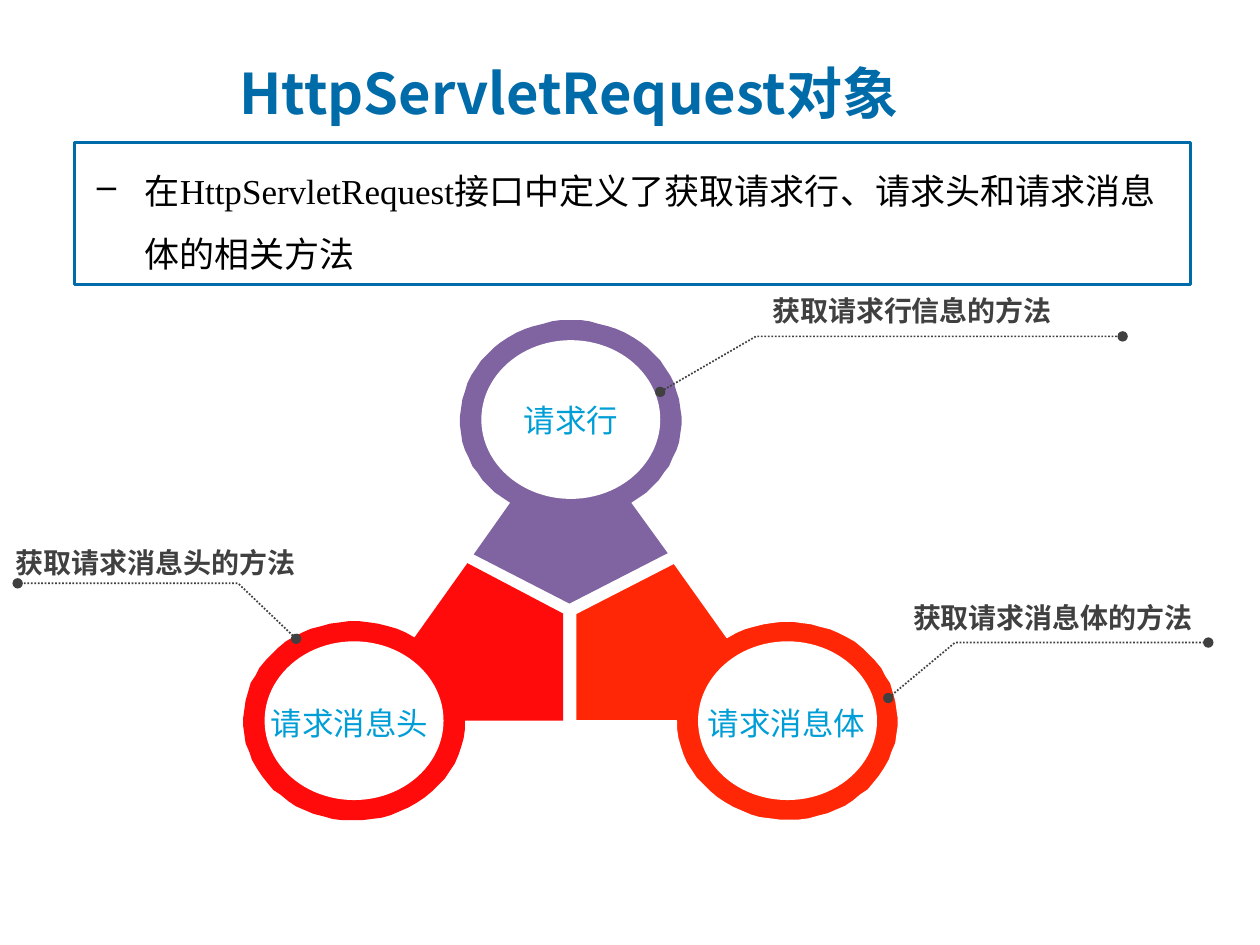
from math import cos, radians, sin

from lxml.etree import SubElement
from pptx import Presentation
from pptx.dml.color import RGBColor
from pptx.enum.dml import MSO_LINE
from pptx.enum.shapes import MSO_SHAPE as Shape
from pptx.enum.text import MSO_ANCHOR as Anchor, MSO_AUTO_SIZE as AutoSize, PP_ALIGN as Align
from pptx.oxml.ns import qn
from pptx.util import Emu, Pt

PX = 9144
SANS = "Noto Sans CJK SC"
SERIF = "Times New Roman"
COLORS = {
    "blue": "006BA9",
    "sky": "009ED6",
    "gray": "404040",
    "black": "000000",
    "white": "FFFFFF",
    "red": "FF0B0B",
    "orange": "FF2705",
    "purple": "8064A2",
}
OUTER = (88, 79)
INNER = (71, 63)


def color(name):
    return RGBColor.from_string(COLORS[name])


def px(*values):
    return [Emu(value * PX) for value in values]


class Painter:
    def __init__(self, page):
        self.page = page
        self.shapes = page.shapes

    def finish(self, shape, fill=None, line=None, width=1):
        shape.shadow.inherit = False
        if fill:
            shape.fill.solid()
            shape.fill.fore_color.rgb = color(fill)
        else:
            shape.fill.background()
        if line:
            shape.line.color.rgb = color(line)
            shape.line.width = Pt(width)
        else:
            shape.line.fill.background()
        return shape

    def preset(self, kind, box, **style):
        return self.finish(self.shapes.add_shape(kind, *px(*box)), **style)

    def outline(self, points, closed=True, **style):
        builder = self.shapes.build_freeform(*points[0], scale=PX)
        builder.add_line_segments(points[1:], close=closed)
        return self.finish(builder.convert_to_shape(), **style)

    def set_text(self, para, text, size, tint, font=SANS, bold=False, align=Align.LEFT):
        para.text = text
        para.alignment = align
        para.font.size = Pt(size)
        para.font.bold = bold
        para.font.color.rgb = color(tint)
        for span in para.runs:
            span.font.name = font
            SubElement(span.font._element, qn("a:ea"), typeface=SANS)

    def indent(self, para, length):
        properties = para._p.get_or_add_pPr()
        properties.set("marL", str(length * PX))
        properties.set("indent", str(-length * PX))
        return properties

    def text(self, box, text, size, tint, wrap=True, grow=True, **style):
        frame = self.shapes.add_textbox(*px(*box)).text_frame
        frame.word_wrap = wrap
        frame.auto_size = AutoSize.SHAPE_TO_FIT_TEXT if grow else AutoSize.NONE
        para = frame.paragraphs[0]
        self.set_text(para, text, size, tint, **style)
        return para

    def title(self, box, text):
        holder = self.shapes.title
        holder.left, holder.top, holder.width, holder.height = px(*box)
        frame = holder.text_frame
        frame.word_wrap = True
        frame.auto_size = AutoSize.NONE
        frame.vertical_anchor = Anchor.MIDDLE
        para = frame.paragraphs[0]
        self.set_text(para, text, 32, "blue", bold=True)
        self.indent(para, 62)

    def bullet(self, box, text):
        para = self.text(box, text, 20, "black", grow=False, font=SERIF)
        para.line_spacing = 1.5
        para.space_before = Pt(4)
        properties = self.indent(para, 38)
        mark = properties.makeelement(qn("a:buChar"), {"char": "–"})
        properties.find(qn("a:defRPr")).addprevious(mark)

    def petal(self, center, arm, arc, label, label_box, **style):
        x, y = center
        start, end = arc
        steps = 60
        angles = [radians(start + (end - start) * i / steps) for i in range(steps + 1)]
        rim = [(round(x + OUTER[0] * cos(a), 2), round(y + OUTER[1] * sin(a), 2)) for a in angles]
        self.outline(arm + rim, **style)
        hole = (x - INNER[0], y - INNER[1], 2 * INNER[0], 2 * INNER[1])
        self.preset(Shape.OVAL, hole, fill="white")
        self.text(label_box, label, 18, "sky", wrap=False)

    def callout(self, points, box, text):
        leader = self.outline(points, closed=False, line="gray")
        leader.line.dash_style = MSO_LINE.ROUND_DOT
        for end in ("a:headEnd", "a:tailEnd"):
            SubElement(leader.line._get_or_add_ln(), qn(end), type="oval")
        self.text(box, text, 16, "gray", bold=True, align=Align.CENTER)


def main():
    deck = Presentation()
    deck.slide_width, deck.slide_height = px(1000, 750)
    painter = Painter(deck.slides.add_slide(deck.slide_layouts[5]))

    painter.title((180, 43, 612, 61), "HttpServletRequest对象")

    painter.petal((281, 572), [(447, 572), (447, 487), (371, 447)], (-57, -360),
                  "请求消息头", (205, 554, 146, 40), fill="red")
    painter.petal((625, 572), [(457, 572), (457, 487), (535, 447)], (-123, 180),
                  "请求消息体", (552, 554, 146, 40), fill="orange", line="white", width=0.75)
    painter.petal((453, 333), [(530, 439), (452, 479), (376, 440)], (123, 417),
                  "请求行", (406, 313, 96, 40), fill="purple")

    painter.callout([(524, 311), (600, 267), (891, 267)], (541, 228, 366, 37), "获取请求行信息的方法")
    painter.callout([(705, 554), (758, 510), (959, 510)], (713, 472, 245, 37), "获取请求消息体的方法")
    painter.callout([(235, 507), (189, 463), (14, 463)], (-4, 428, 255, 37), "获取请求消息头的方法")

    painter.bullet((67, 113, 865, 113),
                   "在HttpServletRequest接口中定义了获取请求行、请求头和请求消息体的相关方法")
    painter.preset(Shape.RECTANGLE, (59, 113, 886, 113), line="blue", width=1.5)

    deck.save("out.pptx")


if __name__ == "__main__":
    main()
